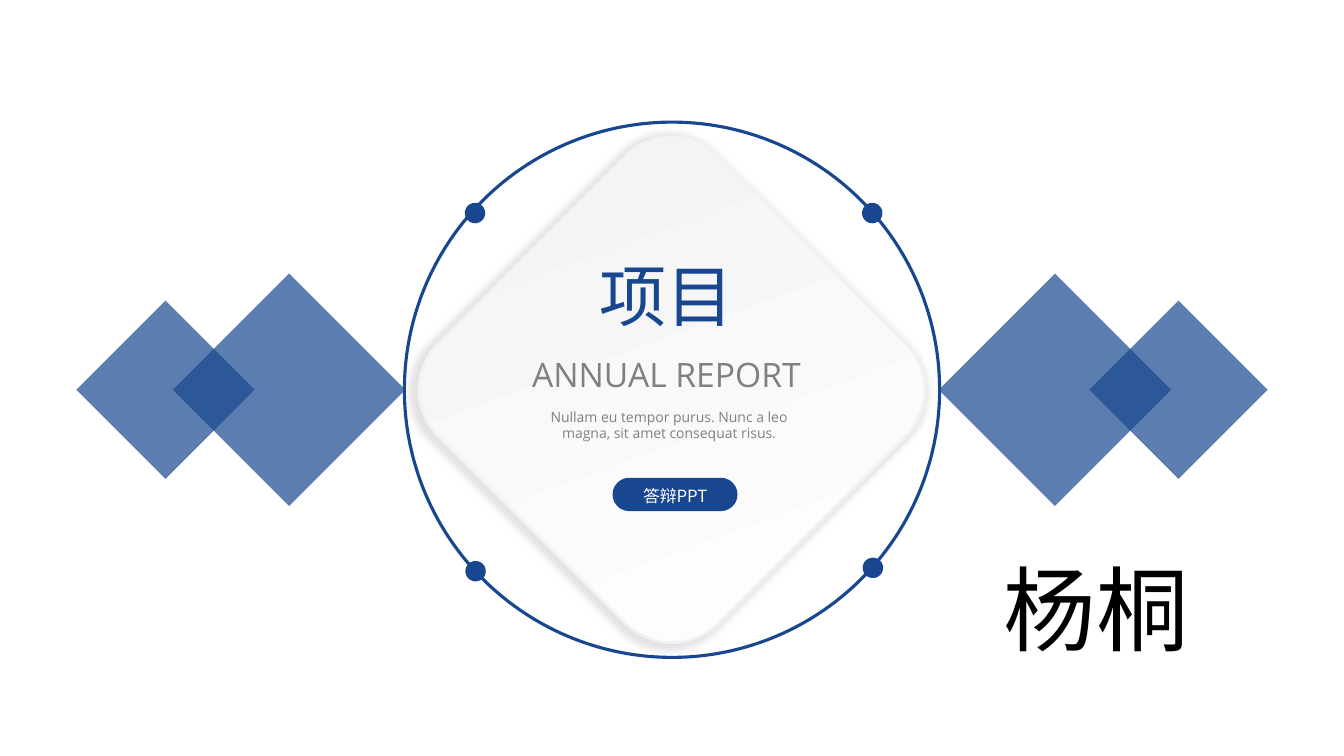
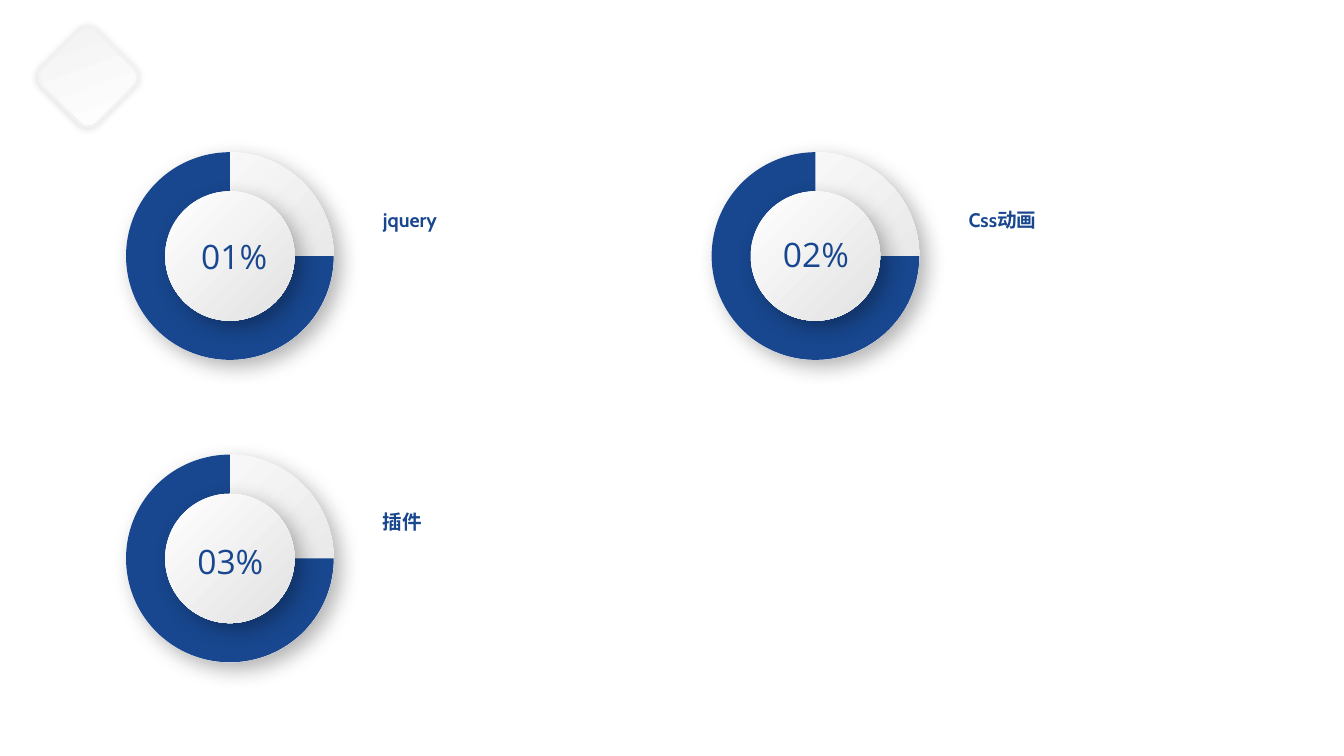
from lxml import etree
from pptx import Presentation
from pptx.dml.color import RGBColor
from pptx.enum import shapes, text
from pptx.oxml import ns
from pptx.util import Pt

BLUE = RGBColor(0x18, 0x47, 0x8F)
GRAY = RGBColor(0x80, 0x80, 0x80)
BLACK = RGBColor(0, 0, 0)
WHITE = RGBColor(0xFF, 0xFF, 0xFF)
PALE = RGBColor(0xF2, 0xF2, 0xF2)
SILVER = RGBColor(0xE2, 0xE2, 0xE2)
BODY, LABEL, CJK, NAME = "Open Sans", "Cabin", "Noto Sans CJK SC", "Calibri"
SHAPE = shapes.MSO_SHAPE
LEFT, CENTER = text.PP_ALIGN.LEFT, text.PP_ALIGN.CENTER


class Deck:
    def __init__(self):
        self.prs = Presentation()
        self.prs.slide_width, self.prs.slide_height = Pt(960), Pt(540)
        self.s = None

    def slide(self):
        self.s = self.prs.slides.add_slide(self.prs.slide_layouts[6])

    def shape(self, kind, cx, cy, w, h=None, fill=None, rot=0, line=None, weight=1):
        h = h or w
        sp = self.s.shapes.add_shape(kind, Pt(cx - w / 2), Pt(cy - h / 2), Pt(w), Pt(h))
        sp.rotation = rot
        sp.shadow.inherit = False
        if fill is None:
            sp.fill.background()
        else:
            sp.fill.solid()
            sp.fill.fore_color.rgb = fill
        if line is None:
            sp.line.fill.background()
        else:
            sp.line.color.rgb = line
            sp.line.width = Pt(weight)
        return sp

    def fade(self, sp, percent):
        color = sp._element.spPr.find(".//" + ns.qn("a:srgbClr"))
        etree.SubElement(color, ns.qn("a:alpha"), val=str(percent * 1000))

    def gradient(self, sp, end, angle):
        sp.fill.gradient()
        sp.fill.gradient_angle = 360 - angle
        for stop, color in zip(sp.fill.gradient_stops, (WHITE, end)):
            stop.color.rgb = color
        sp._element.spPr.find(ns.qn("a:gradFill")).set("rotWithShape", "0")

    def shadow(self, sp, alpha, blur, **extra):
        effects = sp._element.spPr.find(ns.qn("a:effectLst"))
        outer = etree.SubElement(effects, ns.qn("a:outerShdw"), blurRad=str(Pt(blur)),
                                 rotWithShape="0", **extra)
        color = etree.SubElement(outer, ns.qn("a:srgbClr"), val=str(BLACK))
        etree.SubElement(color, ns.qn("a:alpha"), val=str(alpha * 1000))

    def diamond(self, cx, cy, size):
        sp = self.shape(SHAPE.ROUNDED_RECTANGLE, cx, cy, size, rot=45, line=PALE, weight=2)
        self.gradient(sp, PALE, 250)
        self.shadow(sp, 11, 5, sx="102000", sy="102000", algn="ctr")

    def disc(self, cx, cy, size):
        sp = self.shape(SHAPE.OVAL, cx, cy, size)
        self.gradient(sp, SILVER, 45)
        self.shadow(sp, 30, 15, dist=str(Pt(7)), dir=str(45 * 60000), algn="tl")

    def ring(self, cx, cy):
        self.disc(cx, cy, 148.3)
        self.shape(SHAPE.PIE, cx, cy, 148.3, fill=BLUE)
        self.disc(cx, cy, 92.4)

    def text(self, words, x, y, w, h, size, font=BODY, color=BLUE, align=LEFT, bold=False):
        tf = self.s.shapes.add_textbox(Pt(x), Pt(y), Pt(w), Pt(h)).text_frame
        tf.word_wrap = True
        tf.auto_size = text.MSO_AUTO_SIZE.SHAPE_TO_FIT_TEXT
        p = tf.paragraphs[0]
        p.alignment = align
        r = p.add_run()
        r.text = words
        r.font.size, r.font.name, r.font.bold = Pt(size), font, bold
        r.font.color.rgb = color
        etree.SubElement(r.font._element, ns.qn("a:ea"), typeface=CJK)


def cover(d):
    d.slide()
    cx, cy = 480, 278.4
    for side, rot in ((-1, 45), (1, 225)):
        for offset, size in ((273.5, 117.4), (361.8, 90)):
            d.fade(d.shape(SHAPE.RECTANGLE, cx + side * offset, cy, size, fill=BLUE, rot=rot), 70)
    d.diamond(cx, cy, 283)
    d.shape(SHAPE.OVAL, cx, cy, 382.3, line=BLUE, weight=2.25)
    d.text("Nullam eu tempor purus. Nunc a leo magna, sit amet consequat risus.",
           371, 288, 213.8, 31.7, 10, color=GRAY, align=CENTER)
    d.text("ANNUAL REPORT", 342.8, 249.1, 266.4, 36, 24, color=GRAY, align=CENTER)
    d.text("项目", 406.3, 177.8, 140, 65.5, 48, align=CENTER)
    badge = d.shape(SHAPE.ROUNDED_RECTANGLE, 482.2, 353.2, 89.3, 23.8, fill=BLUE)
    badge.adjustments[0] = 0.5
    d.text("答辩PPT", 452.2, 343.4, 64.1, 21.6, 12, font=CJK, color=WHITE)
    for x, y in ((339.3, 152.2), (623.5, 405.6), (339.7, 408), (623, 152.2)):
        d.shape(SHAPE.OVAL, x, y, 14.6, fill=BLUE)
    d.text("杨桐", 709.9, 391, 209.5, 87.1, 66, font=NAME, color=BLACK)


def skills(d):
    d.slide()
    items = (("01%", "jquery", 164.2, 182.9, 113, 164.9),
             ("02%", "Css动画", 582.5, 182.9, 528.5, 163.4),
             ("03%", "插件", 164.2, 398.9, 110.2, 383))
    for percent, label, cx, cy, x, y in items:
        d.ring(cx, cy)
        d.text(percent, x, y, 108.7, 36, 24, align=CENTER)
        d.text(label, cx + 102.2, cy - 38.2, 106.6, 24.5, 14, font=LABEL, bold=True)
    d.diamond(63, 55.1, 55.4)


def main():
    d = Deck()
    cover(d)
    skills(d)
    d.prs.save("out.pptx")


if __name__ == "__main__":
    main()
